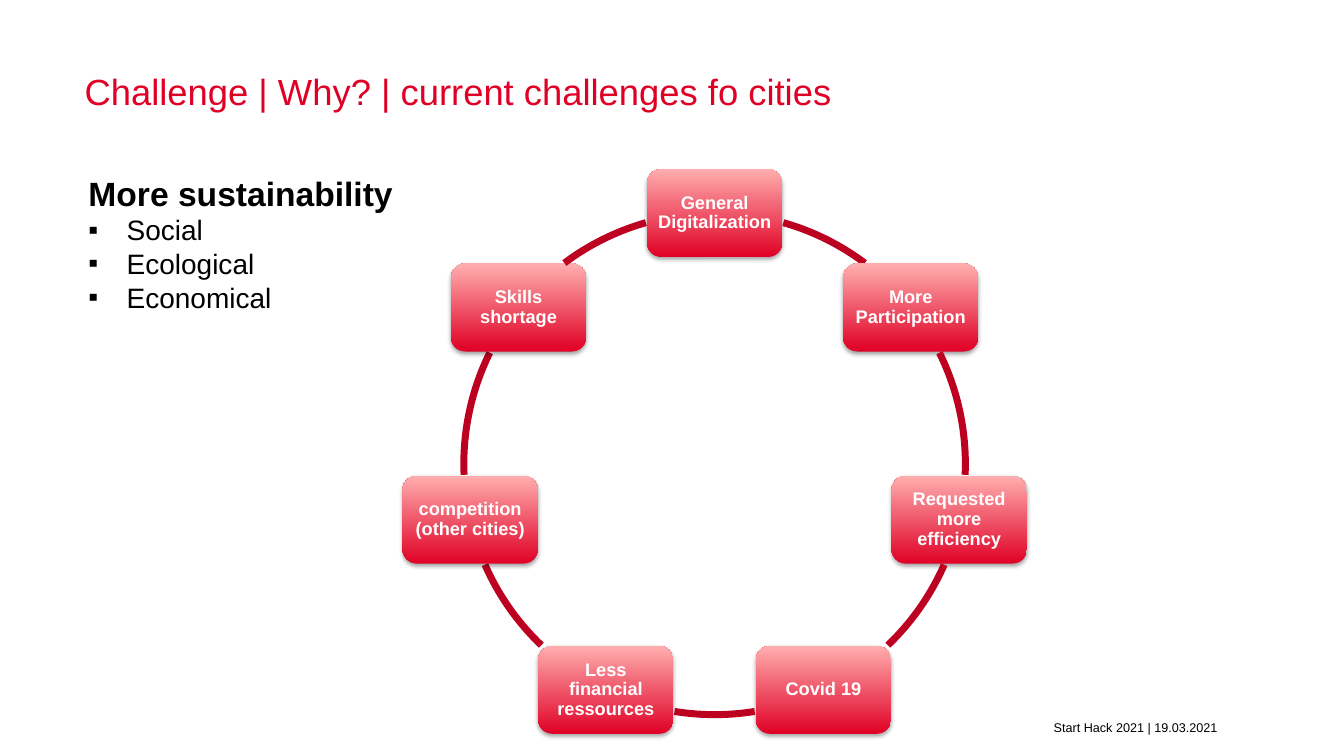
from math import cos, radians, sin

from lxml import etree
from pptx import Presentation
from pptx.dml.color import RGBColor
from pptx.enum.shapes import MSO_SHAPE
from pptx.enum.text import MSO_ANCHOR, MSO_AUTO_SIZE, PP_ALIGN
from pptx.oxml import parse_xml
from pptx.oxml.ns import nsdecls, qn
from pptx.util import Cm, Pt

ROUNDED, ARC = MSO_SHAPE.ROUNDED_RECTANGLE, MSO_SHAPE.ARC
TOP, MIDDLE, BOTTOM = MSO_ANCHOR.TOP, MSO_ANCHOR.MIDDLE, MSO_ANCHOR.BOTTOM
LEFT, CENTER, RIGHT = PP_ALIGN.LEFT, PP_ALIGN.CENTER, PP_ALIGN.RIGHT

COLORS = {
    "red": "E00025",
    "pink": "FFAEAF",
    "ring": "BD0221",
    "text": "000000",
    "white": "FFFFFF",
}
FONT = "Arial"

# Ring geometry in centimetres
CENTER_X, CENTER_Y, RADIUS = 18.01, 11.69, 6.32
NODE_W, NODE_H = 3.41, 2.22

# Label, then start and end angle of the arc to the next node,
# in degrees clockwise from the right
CHALLENGES = [
    ("General Digitalization", 285.9, 306.8),
    ("More Participation", 333.7, 2.5),
    ("Requested more efficiency", 23.7, 46.3),
    ("Covid 19", 80.8, 99.2),
    ("Less financial ressources", 133.7, 156.3),
    ("competition (other cities)", 177.5, 206.3),
    ("Skills shortage", 233.2, 254.1),
]


def rgb(name):
    return RGBColor.from_string(COLORS[name])


def format_paragraph(p, size, color, bold=False, align=LEFT):
    p.alignment = align
    p.space_before = Pt(0)
    for r in p.runs:
        r.font.name = FONT
        r.font.size = Pt(size)
        r.font.bold = bold
        r.font.color.rgb = rgb(color)


def setup_frame(tf, anchor, inset=0, wrap=True):
    tf.word_wrap = wrap
    tf.auto_size = MSO_AUTO_SIZE.NONE
    tf.vertical_anchor = anchor
    tf.margin_left = tf.margin_right = Cm(inset)
    tf.margin_top = tf.margin_bottom = Cm(inset)


def place(sp, left, top, width, height):
    sp.left, sp.top = Cm(left), Cm(top)
    sp.width, sp.height = Cm(width), Cm(height)


def set_bullet(p, char=None):
    """Give the paragraph a hanging bullet, or none without a character."""
    pPr = p._p.get_or_add_pPr()
    indent = Cm(0.96) if char else 0
    pPr.set("marL", str(indent))
    pPr.set("indent", str(-indent))
    if char:
        etree.SubElement(pPr, qn("a:buFont")).set("typeface", FONT)
        etree.SubElement(pPr, qn("a:buChar")).set("char", char)
    else:
        etree.SubElement(pPr, qn("a:buNone"))


def add_soft_shadow(sp):
    sp._element.spPr.append(parse_xml(
        f'<a:effectLst {nsdecls("a")}>'
        '<a:outerShdw blurRad="39370" dist="22860" dir="5400000" rotWithShape="0">'
        '<a:srgbClr val="000000"><a:alpha val="35000"/></a:srgbClr>'
        '</a:outerShdw></a:effectLst>'))


def add_title(slide, text):
    sp = slide.shapes.title
    place(sp, 2.13, 1.75, 29.87, 2.01)
    setup_frame(sp.text_frame, TOP)
    sp.text_frame.text = text
    format_paragraph(sp.text_frame.paragraphs[0], 26, "red")


def add_list(slide, heading, items):
    sp = slide.placeholders[1]
    place(sp, 2.13, 4.25, 9.45, 1.98)
    tf = sp.text_frame
    setup_frame(tf, TOP, 0.1, wrap=False)
    tf.text = heading
    set_bullet(tf.paragraphs[0])
    format_paragraph(tf.paragraphs[0], 24, "text", bold=True)
    for item in items:
        p = tf.add_paragraph()
        p.text = item
        set_bullet(p, "▪")
        format_paragraph(p, 20, "text")


def add_node(slide, label, angle):
    x = CENTER_X + RADIUS * cos(radians(angle)) - NODE_W / 2
    y = CENTER_Y + RADIUS * sin(radians(angle)) - NODE_H / 2
    sp = slide.shapes.add_shape(ROUNDED, Cm(x), Cm(y), Cm(NODE_W), Cm(NODE_H))
    sp.fill.gradient()
    sp.fill.gradient_angle = 90
    for stop, color in zip(sp.fill.gradient_stops, ("red", "pink")):
        stop.color.rgb = rgb(color)
        stop.position = 0 if color == "red" else 1
    sp.line.fill.background()
    add_soft_shadow(sp)
    tf = sp.text_frame
    # The rounded corners already inset the text area
    setup_frame(tf, MIDDLE, 0.1)
    tf.text = label
    p = tf.paragraphs[0]
    p.line_spacing = 0.9
    format_paragraph(p, 13, "white", bold=True, align=CENTER)


def add_arc(slide, start, end):
    sp = slide.shapes.add_shape(ARC, Cm(CENTER_X - RADIUS), Cm(CENTER_Y - RADIUS),
                                Cm(2 * RADIUS), Cm(2 * RADIUS))
    # Arc angles are stored in 1/60000 degree, adjustments in 1/100000
    sp.adjustments[0] = start * 0.6
    sp.adjustments[1] = end * 0.6
    sp.fill.background()
    sp.line.color.rgb = rgb("ring")
    sp.line.width = Pt(5)
    sp.shadow.inherit = False


def add_footer(slide, text):
    sp = slide.shapes.add_textbox(Cm(14.27), Cm(18.01), Cm(16.41), Cm(0.51))
    setup_frame(sp.text_frame, BOTTOM)
    sp.text_frame.text = text
    format_paragraph(sp.text_frame.paragraphs[0], 9, "text", align=RIGHT)


def main():
    prs = Presentation()
    prs.slide_width, prs.slide_height = Cm(33.87), Cm(19.05)
    slide = prs.slides.add_slide(prs.slide_layouts[1])
    add_title(slide, "Challenge | Why? | current challenges fo cities")
    add_list(slide, "More sustainability", ["Social", "Ecological", "Economical"])
    for i, (label, start, end) in enumerate(CHALLENGES):
        add_node(slide, label, 360 / len(CHALLENGES) * i - 90)
        add_arc(slide, start, end)
    add_footer(slide, "Start Hack 2021 | 19.03.2021")
    prs.save("out.pptx")


if __name__ == "__main__":
    main()
